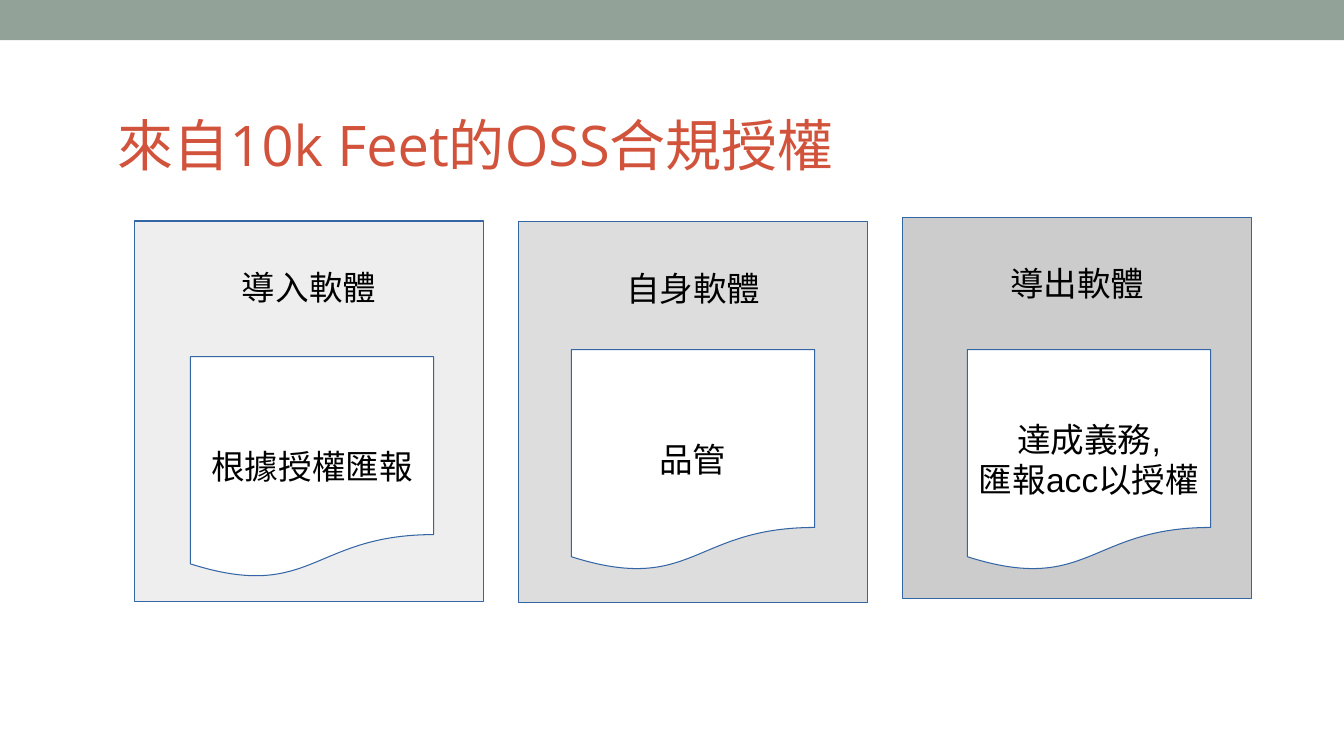
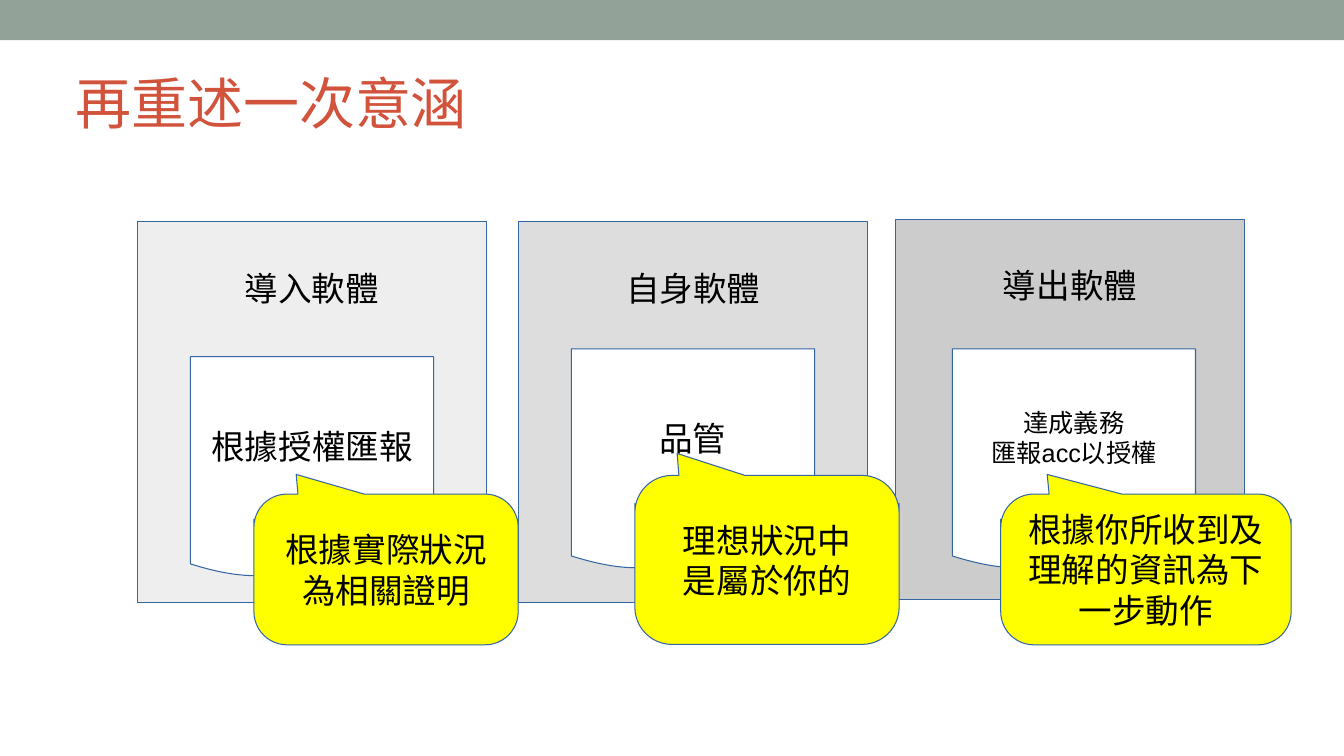
from lxml import etree
from pptx import Presentation
from pptx import util as u
from pptx.dml import color
from pptx.enum import shapes, text

Cm, Pt = u.Cm, u.Pt
KIND = shapes.MSO_SHAPE
ALIGN = text.PP_ALIGN
ANCHOR = text.MSO_ANCHOR

WIDE, HIGH = 33.87, 19.05
BAND, RED, EDGE = "93A299", "D2533C", "3465A4"
BLACK, WHITE, YELLOW = "000000", "FFFFFF", "FFFF00"
GREYS = ["EEEEEE", "DDDDDD", "CCCCCC"]
HEADS = ["導入軟體", "自身軟體", "導出軟體"]
BOX = (8.8, 9.6)
DOC = (6.13, 5.59)
DROP = 1.02  # one line of 24 pt text


def paint(fmt, tint):
    """Give a fill or a font a solid colour from a hex string."""
    if hasattr(fmt, "solid"):
        fmt.solid()
        fmt.fore_color.rgb = color.RGBColor.from_string(tint)
    else:
        fmt.color.rgb = color.RGBColor.from_string(tint)


def write(par, words, size, font, tint):
    """Add words run by run, with a line break at each newline."""
    for i, line in enumerate(words.split("\n")):
        if i:
            par.add_line_break()
        run = par.add_run()
        run.text = line
        run.font.size = Pt(size)
        run.font.name = font
        paint(run.font, tint)


def block(slide, kind, at, size, tint, words, pt=24, drop=0,
          anchor=ANCHOR.MIDDLE):
    """Add a filled shape with a thin edge and centred text."""
    shape = slide.shapes.add_shape(kind, *map(Cm, at + size))
    shape.shadow.inherit = False
    paint(shape.fill, tint)
    paint(shape.line.fill, EDGE)
    shape.line.width = Pt(0.74)
    frame = shape.text_frame
    frame.word_wrap = True
    frame.vertical_anchor = anchor
    frame.margin_left = frame.margin_right = Cm(0.25)
    frame.margin_top = Cm(0.13 + drop)
    frame.margin_bottom = Cm(0.13)
    par = frame.paragraphs[0]
    par.alignment = ALIGN.CENTER
    write(par, words, pt, "Arial", BLACK)
    return shape


def title(slide, at, words):
    """Place and fill the title placeholder."""
    head = slide.shapes.title
    head.left, head.top = map(Cm, at)
    head.width, head.height = Cm(30.48), Cm(2.92)
    frame = head.text_frame
    frame.word_wrap = True
    frame.auto_size = text.MSO_AUTO_SIZE.NONE
    frame.vertical_anchor = ANCHOR.BOTTOM
    frame.margin_left = frame.margin_right = 0
    frame.margin_top = frame.margin_bottom = 0
    par = frame.paragraphs[0]
    par.alignment = ALIGN.LEFT
    write(par, words, 40, "Open Sans", RED)


def panels(slide, spots):
    """Add the three grey stages with their headings."""
    for at, tint, words in zip(spots, GREYS, HEADS):
        block(slide, KIND.RECTANGLE, at, BOX, tint, words,
              drop=DROP, anchor=ANCHOR.TOP)


def sheet(slide, at, words, pt=24, drop=0):
    """Add a white document shape."""
    block(slide, KIND.FLOWCHART_DOCUMENT, at, DOC, WHITE, words, pt, drop)


def bubble(slide, at, size, words):
    """Add a yellow callout that points up and left."""
    shape = block(slide, KIND.ROUNDED_RECTANGULAR_CALLOUT, at, size,
                  YELLOW, words)
    for i, part in enumerate((-0.34, -0.63, 0.22)):
        shape.adjustments[i] = part


def band(deck, slide):
    """Draw the top band and move it to the slide master."""
    bar = slide.shapes.add_shape(KIND.RECTANGLE, 0, 0, Cm(WIDE), Cm(1.01))
    bar.shadow.inherit = False
    paint(bar.fill, BAND)
    bar.line.fill.background()
    deck.slide_master.shapes.element.insert(2, bar.element)


def flow(slide):
    """Build the overview of the three stages."""
    title(slide, (2.97, 1.55), "來自10k Feet的OSS合規授權")
    panels(slide, [(3.39, 5.57), (13.07, 5.59), (22.75, 5.48)])
    sheet(slide, (4.8, 8.99), "根據授權匯報", drop=DROP)
    sheet(slide, (14.4, 8.81), "品管", drop=DROP)
    sheet(slide, (24.38, 8.81), "達成義務,\n匯報acc以授權", drop=DROP)


def recap(slide):
    """Build the stages again, with a callout on each."""
    title(slide, (1.9, 0.51), "再重述一次意涵")
    panels(slide, [(3.46, 5.59), (13.07, 5.59), (22.57, 5.52)])
    sheet(slide, (4.8, 8.99), "根據授權匯報")
    sheet(slide, (14.4, 8.79), "品管")
    sheet(slide, (24, 8.79), "達成義務\n匯報acc以授權", pt=18)
    bubble(slide, (6.4, 12.45), (6.66, 3.8), "根據實際狀況為相關證明")
    bubble(slide, (16, 11.98), (6.66, 4.26), "理想狀況中\n是屬於你的")
    bubble(slide, (25.22, 12.45), (7.32, 3.8),
           "根據你所收到及理解的資訊為下一步動作")


def main():
    """Build the deck and save it."""
    deck = Presentation()
    deck.slide_width, deck.slide_height = Cm(WIDE), Cm(HIGH)
    plain = deck.slide_layouts.get_by_name("Title Only")
    for i, build in enumerate((flow, recap)):
        slide = deck.slides.add_slide(plain)
        if i == 0:
            band(deck, slide)
        build(slide)
    deck.save("out.pptx")


main()
